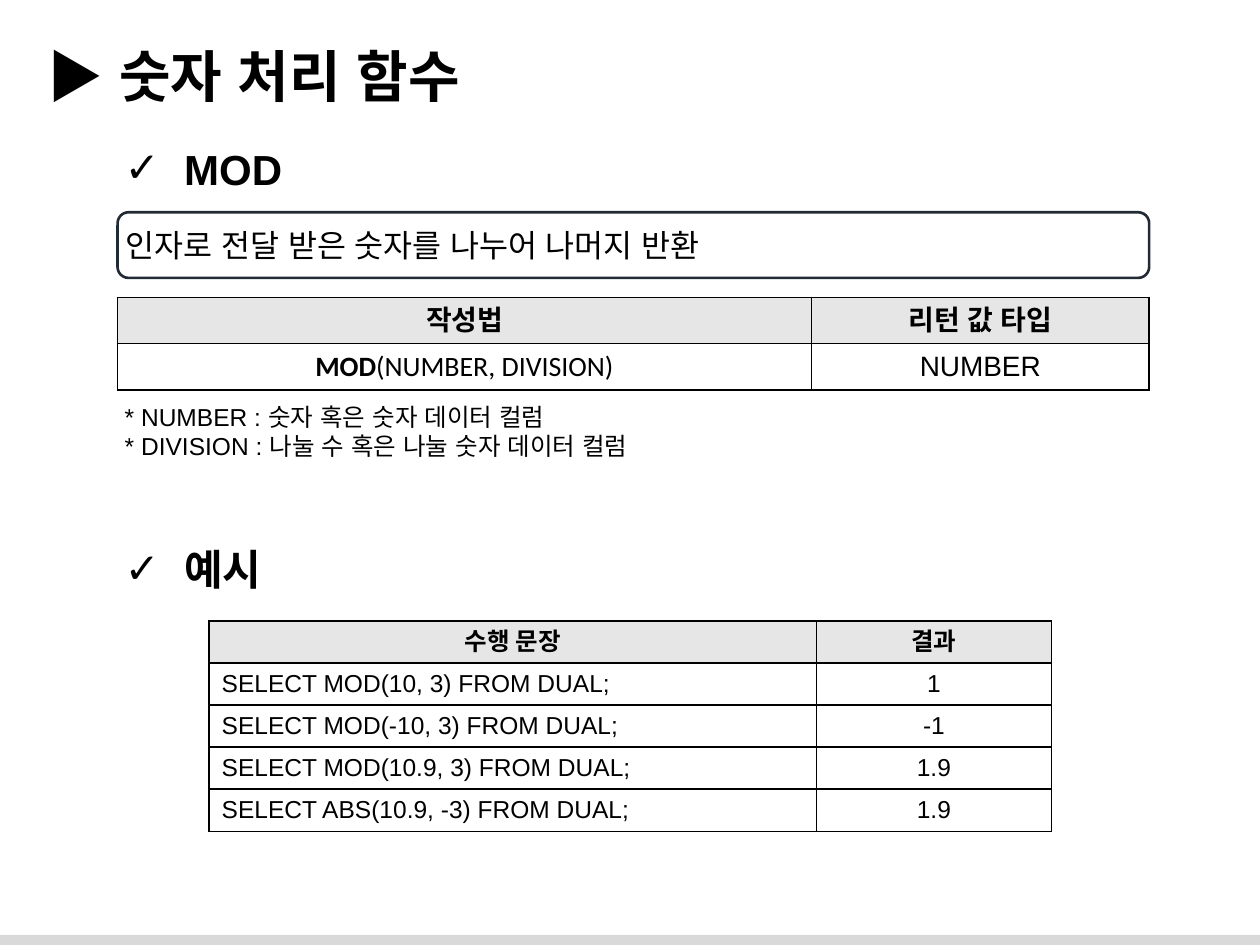
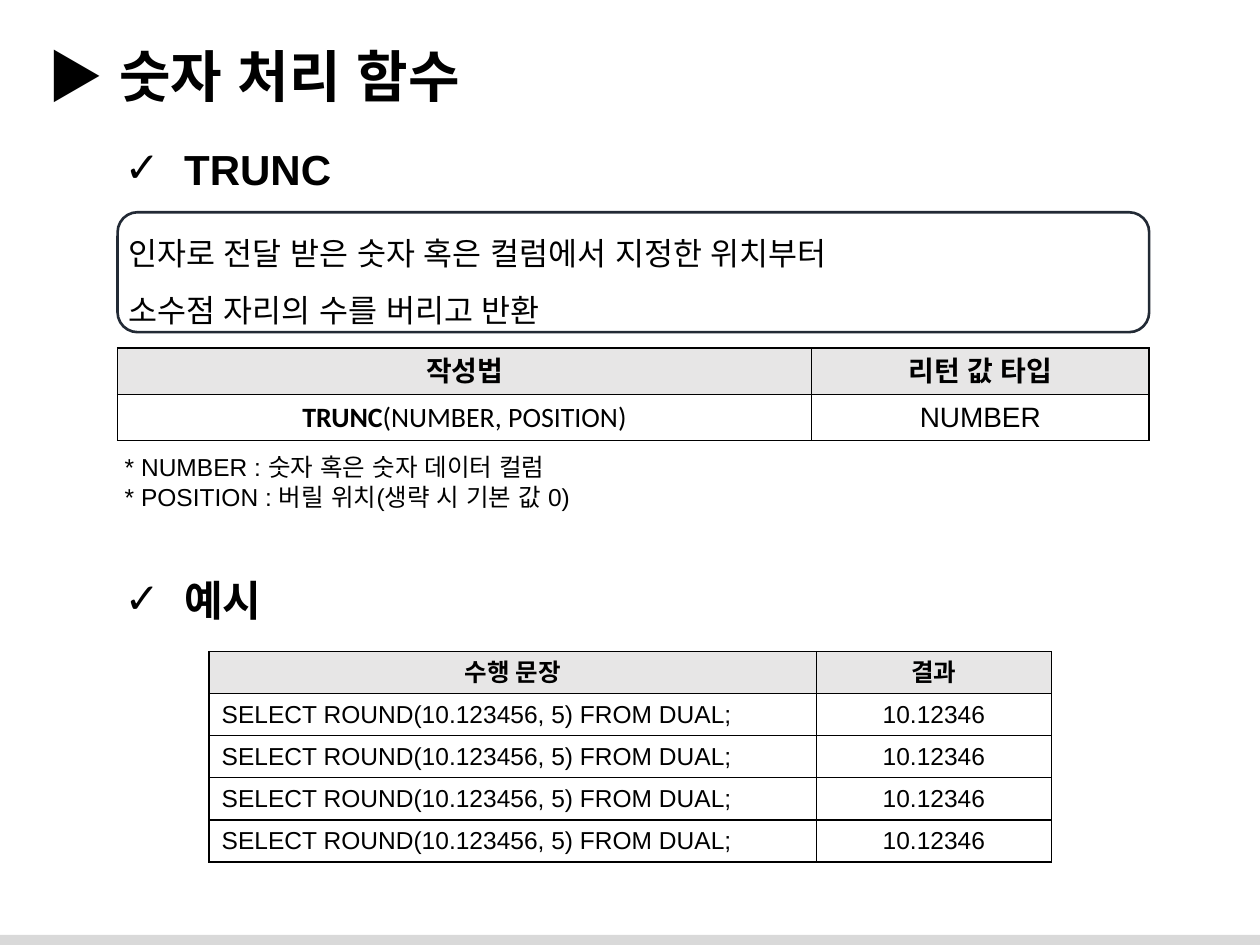
import pptx
import pptx.util
import pptx.dml.color
import pptx.enum.shapes
import pptx.enum.text
import pptx.oxml
import pptx.oxml.ns
from lxml import etree

Pt = pptx.util.Pt
SHAPE = pptx.enum.shapes.MSO_SHAPE
ALIGN = pptx.enum.text.PP_ALIGN
ANCHOR = pptx.enum.text.MSO_ANCHOR
qn = pptx.oxml.ns.qn

BLACK, NAVY, HEADER, BAND = "000000", "222A35", "E7E6E6", "D9D9D9"
BODY, CODE = "Arial", "Calibri"
LEFT, WIDTH = 67.2, 589.5
TEXT_LEFT = 64.2
SYNTAX_COLS, SYNTAX_ROW = (396.5, 193), 26.28
EXAMPLE_LEFT, EXAMPLE_COLS, EXAMPLE_ROW = 119.5, (347, 134.4), 24.05

SLIDES = [
    dict(name="MOD", arguments="(NUMBER, DIVISION)",
         description=["인자로 전달 받은 숫자를 나누어 나머지 반환"],
         box_height=37.5, spacing=1, syntax_top=170, example_top=307,
         notes=["* NUMBER : 숫자 혹은 숫자 데이터 컬럼",
                "* DIVISION : 나눌 수 혹은 나눌 숫자 데이터 컬럼"],
         examples=[("SELECT MOD(10, 3) FROM DUAL;", "1"),
                   ("SELECT MOD(-10, 3) FROM DUAL;", "-1"),
                   ("SELECT MOD(10.9, 3) FROM DUAL;", "1.9"),
                   ("SELECT ABS(10.9, -3) FROM DUAL;", "1.9")]),
    dict(name="TRUNC", arguments="(NUMBER, POSITION)",
         description=["인자로 전달 받은 숫자 혹은 컬럼에서 지정한 위치부터",
                      "소수점 자리의 수를 버리고 반환"],
         box_height=68.5, spacing=1.5, syntax_top=199, example_top=324.5,
         notes=["* NUMBER : 숫자 혹은 숫자 데이터 컬럼",
                "* POSITION : 버릴 위치(생략 시 기본 값 0)"],
         examples=[("SELECT ROUND(10.123456, 5) FROM DUAL;", "10.12346")] * 4),
]


def color(value):
    return pptx.dml.color.RGBColor.from_string(value)


def add_text(p, text, size=14, font=BODY, bold=False, align=ALIGN.LEFT, spacing=None):
    p.alignment = align
    if spacing:
        p.line_spacing = spacing
    r = p.add_run()
    r.text = text
    r.font.size = Pt(size)
    r.font.name = font
    r.font.bold = bold
    r.font.color.rgb = color(BLACK)
    latin = r.font._element.find(qn("a:latin"))
    ea = etree.Element(qn("a:ea"), typeface=font)
    latin.addnext(ea)


def add_lines(tf, lines, **fmt):
    for i, line in enumerate(lines):
        p = tf.add_paragraph() if i else tf.paragraphs[0]
        add_text(p, line, **fmt)


def add_text_box(slide, left, top, width, height):
    tf = slide.shapes.add_textbox(Pt(left), Pt(top), Pt(width), Pt(height)).text_frame
    tf.word_wrap = True
    return tf


def add_band(slide):
    sp = slide.shapes.add_shape(SHAPE.RECTANGLE, Pt(-1.5), Pt(534.2), Pt(723), Pt(8))
    sp.shadow.inherit = False
    sp.fill.solid()
    sp.fill.fore_color.rgb = color(BAND)
    sp.line.fill.background()


def add_title(slide, text):
    sp = slide.shapes.title
    sp.left, sp.top, sp.width, sp.height = Pt(20), Pt(20), Pt(680), Pt(46)
    tf = sp.text_frame
    tf.vertical_anchor = ANCHOR.TOP
    tf.auto_size = pptx.enum.text.MSO_AUTO_SIZE.NONE
    add_text(tf.paragraphs[0], text, size=32, bold=True)


def add_heading(slide, top, text):
    p = add_text_box(slide, TEXT_LEFT, top, 180, 36).paragraphs[0]
    add_text(p, text, size=24, bold=True)
    pPr = p._p.get_or_add_pPr()
    pPr.set("marL", str(Pt(34)))
    pPr.set("indent", str(Pt(-34)))
    etree.SubElement(pPr, qn("a:buFont"), typeface=BODY)
    etree.SubElement(pPr, qn("a:buChar"), char="✓")


def add_description(slide, top, height, lines, spacing):
    sp = slide.shapes.add_shape(SHAPE.ROUNDED_RECTANGLE, Pt(LEFT), Pt(top), Pt(WIDTH), Pt(height))
    sp.shadow.inherit = False
    sp.fill.background()
    sp.line.color.rgb = color(NAVY)
    sp.line.width = Pt(1.5)
    tf = sp.text_frame
    tf.word_wrap = True
    tf.vertical_anchor = ANCHOR.MIDDLE
    tf.margin_left, tf.margin_right = Pt(2.83), 0
    add_lines(tf, lines, size=18, spacing=spacing)


def add_borders(cell):
    tcPr = cell._tc.get_or_add_tcPr()
    for i, side in enumerate(("lnL", "lnR", "lnT", "lnB")):
        ln = etree.Element(qn("a:" + side), w=str(Pt(1)))
        fill = etree.SubElement(ln, qn("a:solidFill"))
        etree.SubElement(fill, qn("a:srgbClr"), val=BLACK)
        tcPr.insert(i, ln)


def add_grid(slide, left, top, cols, row_height, rows):
    frame = slide.shapes.add_table(len(rows), len(cols), Pt(left), Pt(top),
                                   Pt(sum(cols)), Pt(row_height * len(rows)))
    table = frame.table
    for col, width in zip(table.columns, cols):
        col.width = Pt(width)
    for i, values in enumerate(rows):
        table.rows[i].height = Pt(row_height)
        for j, runs in enumerate(values):
            cell = table.cell(i, j)
            cell.vertical_anchor = ANCHOR.MIDDLE
            if i == 0:
                cell.fill.solid()
                cell.fill.fore_color.rgb = color(HEADER)
            else:
                cell.fill.background()
            add_borders(cell)
            for text, fmt in runs:
                add_text(cell.text_frame.paragraphs[0], text, **fmt)


def add_syntax(slide, top, name, arguments, notes):
    base = dict(size=16, align=ALIGN.CENTER)
    bold = dict(base, bold=True)
    add_grid(slide, LEFT, top, SYNTAX_COLS, SYNTAX_ROW, [
        [[("작성법", bold)], [("리턴 값 타입", bold)]],
        [[(name, dict(bold, font=CODE)), (arguments, dict(base, font=CODE))],
         [("NUMBER", base)]],
    ])
    add_lines(add_text_box(slide, TEXT_LEFT, top + 56, 360, 41), notes)


def add_examples(slide, top, examples):
    add_heading(slide, top, "예시")
    head = dict(font=CODE, bold=True, align=ALIGN.CENTER)
    rows = [[[("수행 문장", head)], [("결과", head)]]]
    rows += [[[(query, {})], [(result, dict(align=ALIGN.CENTER))]] for query, result in examples]
    add_grid(slide, EXAMPLE_LEFT, top + 47.8, EXAMPLE_COLS, EXAMPLE_ROW, rows)


def add_function_slide(prs, name, arguments, description, box_height, spacing,
                       syntax_top, example_top, notes, examples):
    slide = prs.slides.add_slide(prs.slide_layouts[5])
    add_band(slide)
    add_title(slide, "▶ 숫자 처리 함수")
    add_heading(slide, 78.2, name)
    add_description(slide, 121.3, box_height, description, spacing)
    add_syntax(slide, syntax_top, name, arguments, notes)
    add_examples(slide, example_top, examples)


def main():
    prs = pptx.Presentation()
    prs.slide_width, prs.slide_height = Pt(720), Pt(540)
    for content in SLIDES:
        add_function_slide(prs, **content)
    prs.save("out.pptx")


if __name__ == "__main__":
    main()
